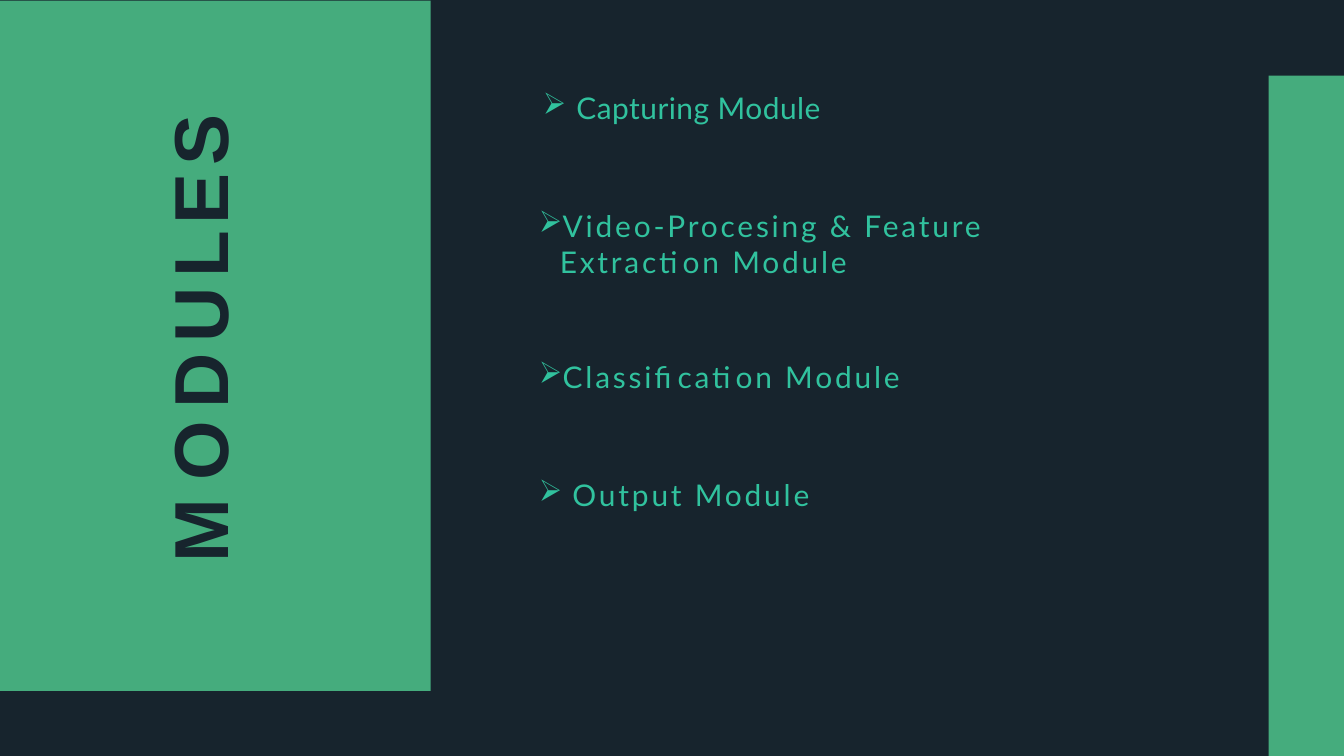
from dataclasses import dataclass

from lxml import etree
from pptx import Presentation
from pptx.dml.color import RGBColor
from pptx.enum.shapes import MSO_SHAPE
from pptx.enum.text import MSO_ANCHOR, MSO_AUTO_SIZE, PP_ALIGN
from pptx.oxml.ns import qn
from pptx.util import Cm, Pt

RECTANGLE = MSO_SHAPE.RECTANGLE
LEFT, TOP, GROW = PP_ALIGN.LEFT, MSO_ANCHOR.TOP, MSO_AUTO_SIZE.SHAPE_TO_FIT_TEXT
TITLE_ONLY = 5
PAGE_WIDTH, PAGE_HEIGHT = 50.8, 28.58


@dataclass(frozen=True)
class Theme:
    dark: RGBColor = RGBColor(0x17, 0x24, 0x2D)
    green: RGBColor = RGBColor(0x45, 0xAC, 0x7D)
    teal: RGBColor = RGBColor(0x31, 0xC2, 0x9E)
    heading_font: str = "Arial"
    body_font: str = "Lato"
    heading_size: int = 82
    body_size: int = 32
    bullet: str = "➢"


@dataclass(frozen=True)
class Box:
    """Position and size in centimetres."""
    left: float
    top: float
    width: float
    height: float

    def lengths(self) -> tuple:
        return tuple(Cm(v) for v in (self.left, self.top, self.width, self.height))


@dataclass(frozen=True)
class Module:
    name: str
    box: Box
    indent: float
    spacing: float = 3


THEME = Theme()
HEADING_FORMAT = {"name": THEME.heading_font, "size": Pt(THEME.heading_size), "bold": True}
BODY_FORMAT = {"name": THEME.body_font, "size": Pt(THEME.body_size), "bold": False}

PANELS = (
    Box(47.95, 2.86, PAGE_WIDTH - 47.95, PAGE_HEIGHT - 2.86),
    Box(0, 0.02, 16.28, 26.1),
)
HEADING_BOX = Box(-1.3, 10.72, 17.58, 3.53)
HEADING_LETTERS = zip("MODULES", (19.8, 13, 11.7, 10.3, 7.5, 8.6, 5.8))

FIRST_MODULE = Module("Capturing Module", Box(20.52, 2.44, 15.44, 2.31), 1.27, 0.5)
OTHER_MODULES = (
    Module("Video-Procesing & Feature Extraction Module", Box(20.12, 7.72, 19.89, 3), 0.79),
    Module("Classification Module", Box(20.12, 13.44, 17.15, 1.63), 0.79),
    Module("Output Module", Box(20.12, 17.88, 13.97, 1.63), 1.27),
)


def set_all(target, values: dict) -> None:
    for name, value in values.items():
        setattr(target, name, value)


def add_panel(page, box: Box) -> None:
    panel = page.shapes.add_shape(RECTANGLE, *box.lengths())
    panel.shadow.inherit = False
    panel.fill.solid()
    panel.fill.fore_color.rgb = THEME.green
    panel.line.fill.background()


def prepare_frame(shape, **margins):
    frame = shape.text_frame
    set_all(frame, {"word_wrap": True, "auto_size": GROW, "vertical_anchor": TOP, **margins})
    frame.paragraphs[0].alignment = LEFT
    return frame


def add_span(para, text: str, style: dict, color: RGBColor, spacing: float) -> None:
    """Add a run with letter spacing in points."""
    span = para.add_run()
    span.text = text
    set_all(span.font, style)
    span.font.color.rgb = color
    span._r.get_or_add_rPr().set("spc", str(round(spacing * 100)))


def add_bullet(para, indent: float) -> None:
    """Give the paragraph a hanging bullet, indented in centimetres."""
    properties = para._p.get_or_add_pPr()
    properties.set("marL", str(Cm(indent)))
    properties.set("indent", str(-Cm(indent)))
    etree.SubElement(properties, qn("a:buChar")).set("char", THEME.bullet)


def write_module(shape, module: Module, **margins) -> None:
    para = prepare_frame(shape, **margins).paragraphs[0]
    add_bullet(para, module.indent)
    add_span(para, module.name, BODY_FORMAT, THEME.teal, module.spacing)


def add_heading(page) -> None:
    heading = page.shapes.add_textbox(*HEADING_BOX.lengths())
    heading.rotation = 270
    frame = prepare_frame(heading, margin_left=0, margin_top=Cm(0.03),
                          margin_right=0, margin_bottom=0)
    for letter, spacing in HEADING_LETTERS:
        add_span(frame.paragraphs[0], letter, HEADING_FORMAT, THEME.dark, spacing)


def main() -> None:
    deck = Presentation()
    deck.slide_width, deck.slide_height = Cm(PAGE_WIDTH), Cm(PAGE_HEIGHT)
    page = deck.slides.add_slide(deck.slide_layouts[TITLE_ONLY])
    page.background.fill.solid()
    page.background.fill.fore_color.rgb = THEME.dark

    for box in PANELS:
        add_panel(page, box)
    add_heading(page)

    title = page.shapes.title
    set_all(title, dict(zip(("left", "top", "width", "height"), FIRST_MODULE.box.lengths())))
    write_module(title, FIRST_MODULE, margin_left=0, margin_top=Cm(0.94),
                 margin_right=0, margin_bottom=0)
    for module in OTHER_MODULES:
        write_module(page.shapes.add_textbox(*module.box.lengths()), module)

    deck.save("out.pptx")


if __name__ == "__main__":
    main()
